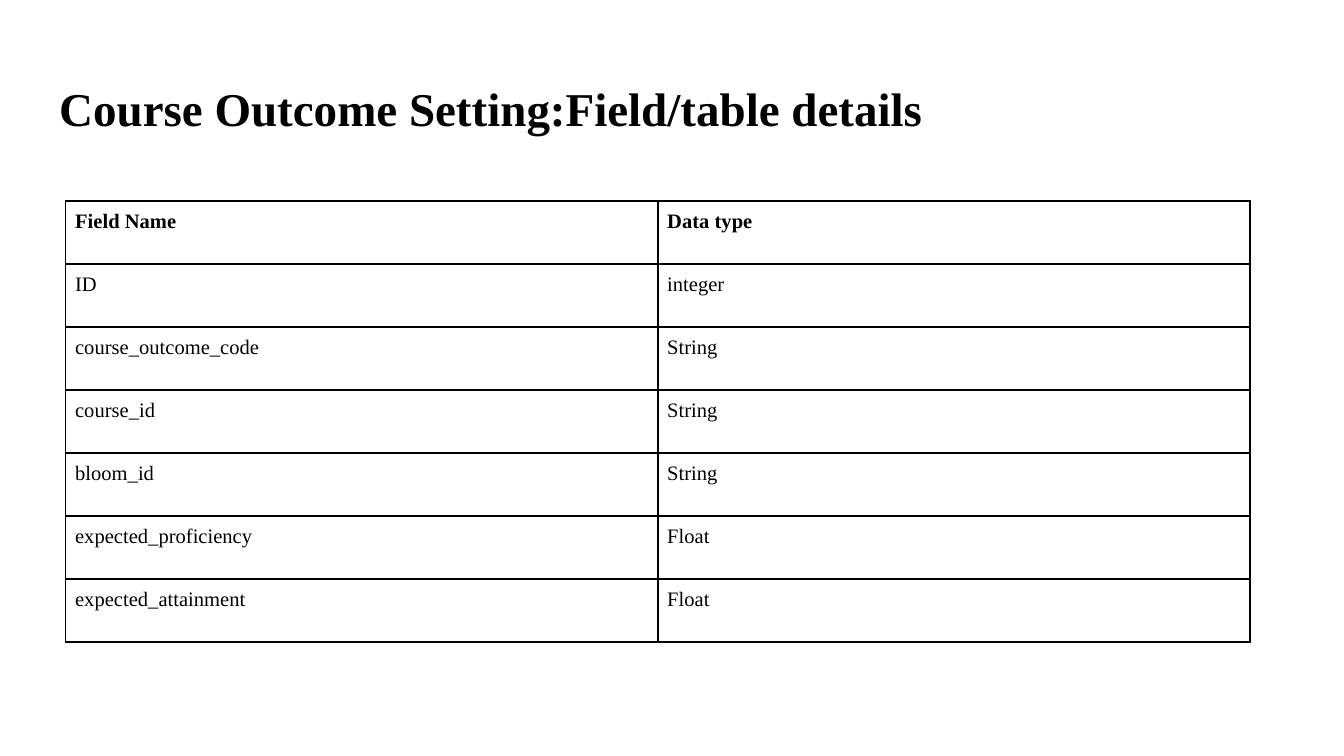
from lxml.etree import SubElement
from pptx import Presentation
from pptx.dml.color import RGBColor
from pptx.enum.text import MSO_ANCHOR
from pptx.oxml.ns import qn
from pptx.util import Cm, Pt

BLACK = RGBColor(0x00, 0x00, 0x00)
WHITE = RGBColor(0xFF, 0xFF, 0xFF)

FIELDS = [
    ("Field Name", "Data type"),
    ("ID", "integer"),
    ("course_outcome_code", "String"),
    ("course_id", "String"),
    ("bloom_id", "String"),
    ("expected_proficiency", "Float"),
    ("expected_attainment", "Float"),
]


def write_text(text_frame, text, *, size, bold=False, font="Times New Roman", color=BLACK):
    run = text_frame.paragraphs[0].add_run()
    run.text = text
    run.font.name = font
    run.font.size = Pt(size)
    run.font.bold = bold
    run.font.color.rgb = color


def set_margins(target, margin):
    target.margin_left = target.margin_right = margin
    target.margin_top = target.margin_bottom = margin


class SlideBuilder:
    title_size = 25.2
    cell_size = 11
    title_margin = Cm(0.25)
    cell_margin = Cm(0.18)
    border_width = Pt(1)

    def __init__(self, slide):
        self.slide = slide
        slide.background.fill.solid()
        slide.background.fill.fore_color.rgb = WHITE

    def add_title(self, text, left, top, width, height):
        text_frame = self.slide.shapes.add_textbox(left, top, width, height).text_frame
        text_frame.word_wrap = True
        text_frame.vertical_anchor = MSO_ANCHOR.MIDDLE
        set_margins(text_frame, self.title_margin)
        write_text(text_frame, text, size=self.title_size, bold=True)

    def add_field_table(self, rows, left, top, column_width, row_height):
        row_count, column_count = len(rows), len(rows[0])
        table = self.slide.shapes.add_table(
            row_count, column_count, left, top,
            column_width * column_count, row_height * row_count,
        ).table
        table.horz_banding = False
        for column in table.columns:
            column.width = column_width
        for row_index, values in enumerate(rows):
            table.rows[row_index].height = row_height
            for column_index, value in enumerate(values):
                cell = table.cell(row_index, column_index)
                set_margins(cell, self.cell_margin)
                cell.vertical_anchor = MSO_ANCHOR.TOP
                write_text(cell.text_frame, value, size=self.cell_size, bold=row_index == 0)
                self.add_borders(cell)
                cell.fill.background()

    def add_borders(self, cell):
        properties = cell._tc.get_or_add_tcPr()
        for side in ("a:lnL", "a:lnR", "a:lnT", "a:lnB"):
            line = SubElement(properties, qn(side), w=str(self.border_width))
            fill = SubElement(line, qn("a:solidFill"))
            SubElement(fill, qn("a:srgbClr"), val=str(BLACK))


def main():
    presentation = Presentation()
    presentation.slide_width = Cm(25.4)
    presentation.slide_height = Cm(14.29)
    blank_layout = presentation.slide_layouts[6]
    builder = SlideBuilder(presentation.slides.add_slide(blank_layout))

    # Title
    builder.add_title("Course Outcome Setting:Field/table details",
                      Cm(0.87), Cm(1.24), Cm(23.67), Cm(1.6))

    # Fields and their data types
    builder.add_field_table(FIELDS, Cm(1.24), Cm(3.8), Cm(11.19), Cm(1.19))

    presentation.save("out.pptx")


if __name__ == "__main__":
    main()
